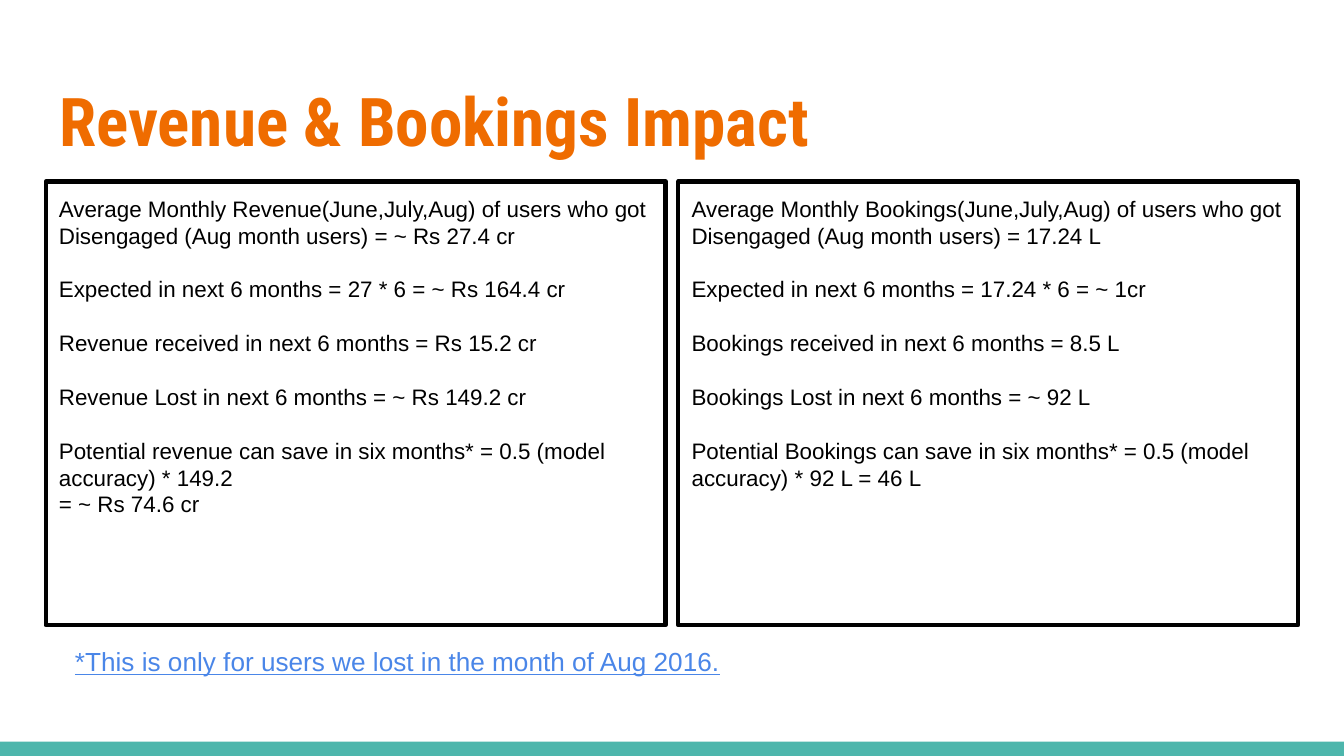
"""Build the revenue and bookings impact slide."""
from dataclasses import dataclass

import pptx
import pptx.dml.color
import pptx.enum.shapes
import pptx.enum.text
import pptx.util


@dataclass(frozen=True)
class Theme:
    """Colours, fonts and sizes in points."""
    title_color: str = "EF6C00"
    text_color: str = "000000"
    note_color: str = "4A86E8"
    bar_color: str = "4DB6AC"
    title_font: str = "Roboto Condensed"
    body_font: str = "Arial"
    title_size: float = 36
    body_size: float = 12
    note_size: float = 14
    leading: float = 14.4
    border: float = 2.25


@dataclass(frozen=True)
class Box:
    """Position and size in inches."""
    left: float
    top: float
    width: float
    height: float

    def emu(self) -> list[int]:
        """Return the four lengths in slide units."""
        return [pptx.util.Inches(v) for v in (self.left, self.top, self.width, self.height)]


@dataclass(frozen=True)
class Panel:
    """Lines of one outlined column."""
    lines: tuple[str, ...]


THEME = Theme()
WIDTH = 10
HEIGHT = WIDTH * 9 / 16
MARGIN = 0.034 * WIDTH
GUTTER = 0.0095 * WIDTH
CONTENT = WIDTH - 2 * MARGIN
COLUMN = (CONTENT - GUTTER) / 2
PANEL_TOP, PANEL_HEIGHT = 0.24 * HEIGHT, 0.587 * HEIGHT
BAR_HEIGHT = 0.019 * HEIGHT

PANELS = (
    Panel((
        "Average Monthly Revenue(June,July,Aug) of users who got Disengaged (Aug month users) = ~ Rs 27.4 cr",
        "Expected in next 6 months = 27 * 6 = ~ Rs 164.4 cr",
        "Revenue received in next 6 months = Rs 15.2 cr",
        "Revenue Lost in next 6 months = ~ Rs 149.2 cr",
        "Potential revenue can save in six months* = 0.5 (model accuracy) * 149.2",
        "= ~ Rs 74.6 cr",
    )),
    Panel((
        "Average Monthly Bookings(June,July,Aug) of users who got Disengaged (Aug month users) = 17.24 L",
        "Expected in next 6 months = 17.24 * 6 = ~ 1cr",
        "Bookings received in next 6 months = 8.5 L",
        "Bookings Lost in next 6 months = ~ 92 L",
        "Potential Bookings can save in six months* = 0.5 (model accuracy) * 92 L = 46 L",
    )),
)


def rgb(value: str) -> pptx.dml.color.RGBColor:
    """Convert a hex string to a colour."""
    return pptx.dml.color.RGBColor.from_string(value)


def write(shape, lines: tuple[str, ...], font: str, size: float, color: str,
          bold: bool = False, underline: bool = False) -> None:
    """Fill a shape with left-aligned, top-anchored text."""
    tf = shape.text_frame
    tf.word_wrap = True
    tf.auto_size = pptx.enum.text.MSO_AUTO_SIZE.NONE
    tf.vertical_anchor = pptx.enum.text.MSO_ANCHOR.TOP
    tf.margin_left = tf.margin_right = tf.margin_top = tf.margin_bottom = pptx.util.Inches(0.1)
    tf.text = "\n".join(lines)
    for p in tf.paragraphs:
        p.alignment = pptx.enum.text.PP_ALIGN.LEFT
        p.space_before = pptx.util.Pt(0)
        for r in p.runs:
            r.font.name, r.font.size = font, pptx.util.Pt(size)
            r.font.bold, r.font.underline = bold, underline
            r.font.color.rgb = rgb(color)


def add_rectangle(s, box: Box):
    """Add a rectangle without shadow."""
    sp = s.shapes.add_shape(pptx.enum.shapes.MSO_SHAPE.RECTANGLE, *box.emu())
    sp.shadow.inherit = False
    return sp


def add_bar(s) -> None:
    """Add the coloured strip along the bottom edge."""
    sp = add_rectangle(s, Box(0, HEIGHT - BAR_HEIGHT, WIDTH, BAR_HEIGHT))
    sp.fill.solid()
    sp.fill.fore_color.rgb = rgb(THEME.bar_color)
    sp.line.fill.background()


def add_title(s, text: str) -> None:
    """Place and format the title placeholder."""
    sp = s.shapes.title
    sp.left, sp.top, sp.width, sp.height = Box(MARGIN, 0.087 * HEIGHT, CONTENT, 0.137 * HEIGHT).emu()
    write(sp, (text,), THEME.title_font, THEME.title_size, THEME.title_color, bold=True)


def add_panel(s, column: int, panel: Panel) -> None:
    """Add an outlined panel, with a gap before each new statement."""
    left = MARGIN + column * (COLUMN + GUTTER)
    sp = add_rectangle(s, Box(left, PANEL_TOP, COLUMN, PANEL_HEIGHT))
    sp.fill.background()
    sp.line.color.rgb = rgb(THEME.text_color)
    sp.line.width = pptx.util.Pt(THEME.border)
    write(sp, panel.lines, THEME.body_font, THEME.body_size, THEME.text_color)
    for i, p in enumerate(sp.text_frame.paragraphs):
        p.line_spacing = pptx.util.Pt(THEME.leading)
        if i and not p.text.startswith("="):
            p.space_before = pptx.util.Pt(THEME.leading)


def add_note(s, text: str) -> None:
    """Add the underlined footnote."""
    sp = s.shapes.add_textbox(*Box(0.046 * WIDTH, 0.836 * HEIGHT, 0.874 * WIDTH, 0.1 * HEIGHT).emu())
    write(sp, (text,), THEME.body_font, THEME.note_size, THEME.note_color, underline=True)


def main() -> None:
    """Build and save the presentation."""
    prs = pptx.Presentation()
    prs.slide_width, prs.slide_height = pptx.util.Inches(WIDTH), pptx.util.Inches(HEIGHT)
    s = prs.slides.add_slide(prs.slide_layouts.get_by_name("Title Only"))
    add_bar(s)
    add_title(s, "Revenue & Bookings Impact")
    for column, panel in enumerate(PANELS):
        add_panel(s, column, panel)
    add_note(s, "*This is only for users we lost in the month of Aug 2016.")
    prs.save("out.pptx")


if __name__ == "__main__":
    main()
